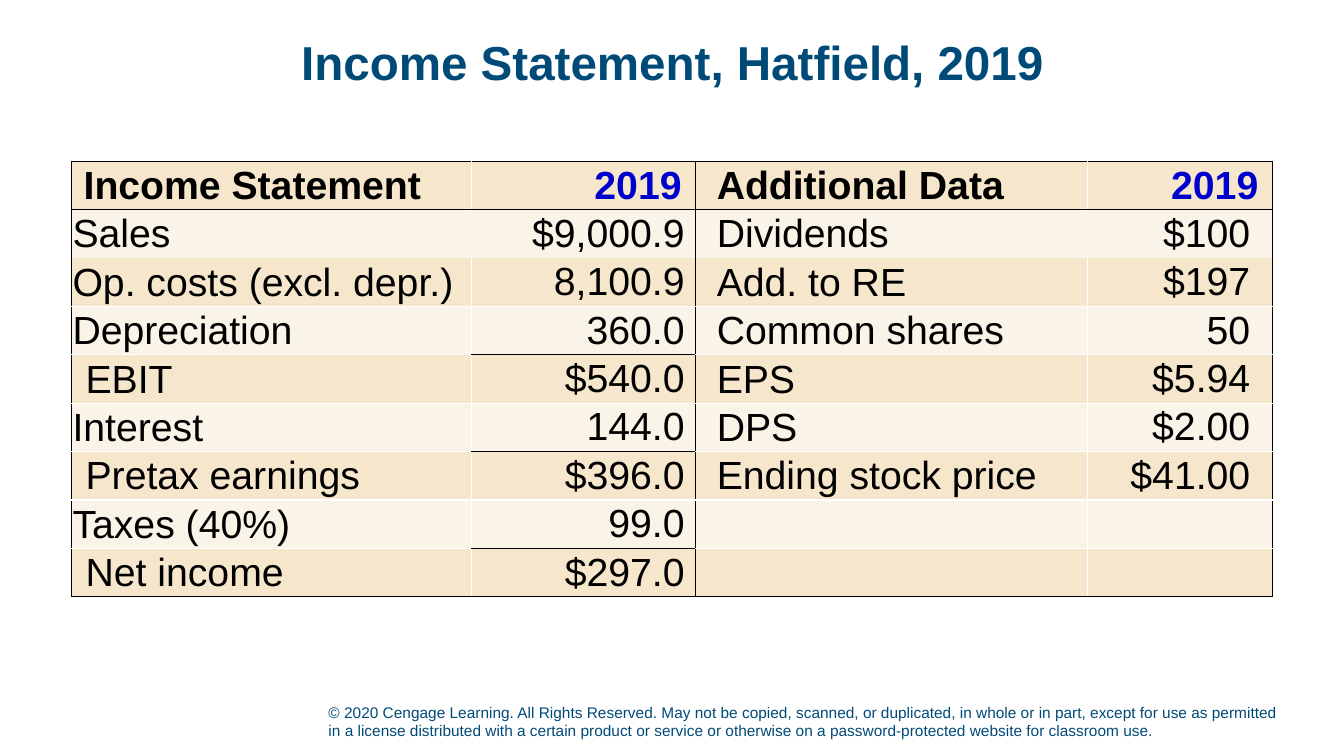
from pptx import Presentation
from pptx import util as u
from pptx.dml.color import RGBColor
from pptx.enum import text
from pptx.oxml.ns import qn
from lxml import etree

COLORS = {
    "navy": "004A78", "black": "000000", "white": "FFFFFF",
    "blue": "0000CC", "tan": "F6E7CC", "cream": "FAF3E7",
}
WIDTHS = [3.97, 2.22, 3.89, 1.83]
HEIGHT = 0.48
ROWS = [
    ("Income Statement", "2019", "Additional Data", "2019"),
    ("Sales", "$9,000.9", "Dividends", "$100"),
    ("Op. costs (excl. depr.)", "8,100.9", "Add. to RE", "$197"),
    ("Depreciation", "360.0", "Common shares", "50"),
    ("EBIT", "$540.0", "EPS", "$5.94"),
    ("Interest", "144.0", "DPS", "$2.00"),
    ("Pretax earnings", "$396.0", "Ending stock price", "$41.00"),
    ("Taxes (40%)", "99.0", "", ""),
    ("Net income", "$297.0", "", ""),
]
LAST = len(ROWS) - 1
TOTALS = (4, 6, 8)
TITLE = "Income Statement, Hatfield, 2019"
NOTICE = (
    "© 2020 Cengage Learning. All Rights Reserved. May not be copied, scanned, "
    "or duplicated, in whole or in part, except for use as permitted in a license "
    "distributed with a certain product or service or otherwise on a "
    "password-protected website for classroom use."
)


def write(frame, words, size=28, color="black", bold=False,
          align=text.PP_ALIGN.LEFT, spacing=None):
    frame.word_wrap = True
    para = frame.paragraphs[0]
    para.alignment = align
    para.line_spacing = spacing
    run = para.add_run()
    run.text = words
    font = run.font
    font.name = "Arial"
    font.size = u.Pt(size)
    font.bold = bold
    font.color.rgb = RGBColor.from_string(COLORS[color])


def add_label(slide, words, left, top, width, height, anchor, **style):
    box = slide.shapes.add_textbox(
        u.Inches(left), u.Inches(top), u.Inches(width), u.Inches(height))
    box.text_frame.vertical_anchor = anchor
    write(box.text_frame, words, **style)


def edges(row, col):
    """Return the border colours of a cell, None where no line is drawn."""
    inner = None if row == 1 else "white"
    left, right = ("black", inner) if col % 2 == 0 else (inner, "black")
    top = bottom = "white"
    if row < 2 or (col == 1 and row in TOTALS):
        top = "black"
    elif row == 2:
        top = None
    if row in (0, LAST) or (col == 1 and row + 1 in TOTALS):
        bottom = "black"
    elif row == 1:
        bottom = None
    return {"L": left, "R": right, "T": top, "B": bottom}


def set_lines(cell, lines):
    props = cell._tc.get_or_add_tcPr()
    for side, color in lines.items():
        line = etree.SubElement(props, qn("a:ln" + side), w=str(u.Pt(1)))
        if color:
            fill = etree.SubElement(line, qn("a:solidFill"))
            etree.SubElement(fill, qn("a:srgbClr"), val=COLORS[color])
        else:
            etree.SubElement(line, qn("a:noFill"))


def margins(row, col):
    """Return the left and right insets of a cell."""
    if col == 0:
        return (0.12 if row == 0 else 0.14 if row in TOTALS else 0.01), 0.01
    if col == 2:
        return 0.21, 0.01
    if row == 0:
        return 0.01, 0.14
    return 0.11, (0.11 if col == 1 else 0.22)


def fill_cell(cell, words, row, col):
    set_lines(cell, edges(row, col))
    cell.fill.solid()
    shade = "cream" if row % 2 else "tan"
    cell.fill.fore_color.rgb = RGBColor.from_string(COLORS[shade])
    cell.vertical_anchor = text.MSO_ANCHOR.MIDDLE
    left, right = margins(row, col)
    cell.margin_left, cell.margin_right = u.Inches(left), u.Inches(right)
    value = col % 2 == 1
    cell.margin_top = u.Inches(0 if value and row else 0.01)
    cell.margin_bottom = 0
    if words:
        write(cell.text_frame, words, bold=row == 0,
              color="blue" if value and row == 0 else "black",
              align=text.PP_ALIGN.RIGHT if value else text.PP_ALIGN.LEFT)


def add_grid(slide, left, top):
    table = slide.shapes.add_table(
        len(ROWS), len(WIDTHS), u.Inches(left), u.Inches(top),
        u.Inches(sum(WIDTHS)), u.Inches(HEIGHT * len(ROWS))).table
    table.first_row = table.horz_banding = False
    for column, width in zip(table.columns, WIDTHS):
        column.width = u.Inches(width)
    for row, items in enumerate(ROWS):
        table.rows[row].height = u.Inches(HEIGHT)
        for col, words in enumerate(items):
            fill_cell(table.cell(row, col), words, row, col)


def main():
    deck = Presentation()
    deck.slide_width, deck.slide_height = u.Inches(13.33), u.Inches(7.5)
    slide = deck.slides.add_slide(deck.slide_layouts[6])
    add_label(slide, NOTICE, 3.16, 6.89, 9.63, 0.5, text.MSO_ANCHOR.BOTTOM,
              size=11, color="navy")
    add_label(slide, TITLE, 0.92, 0.15, 11.5, 1, text.MSO_ANCHOR.MIDDLE,
              size=34, color="navy", bold=True,
              align=text.PP_ALIGN.CENTER, spacing=0.9)
    add_grid(slide, 0.71, 1.6)
    deck.save("out.pptx")


if __name__ == "__main__":
    main()
